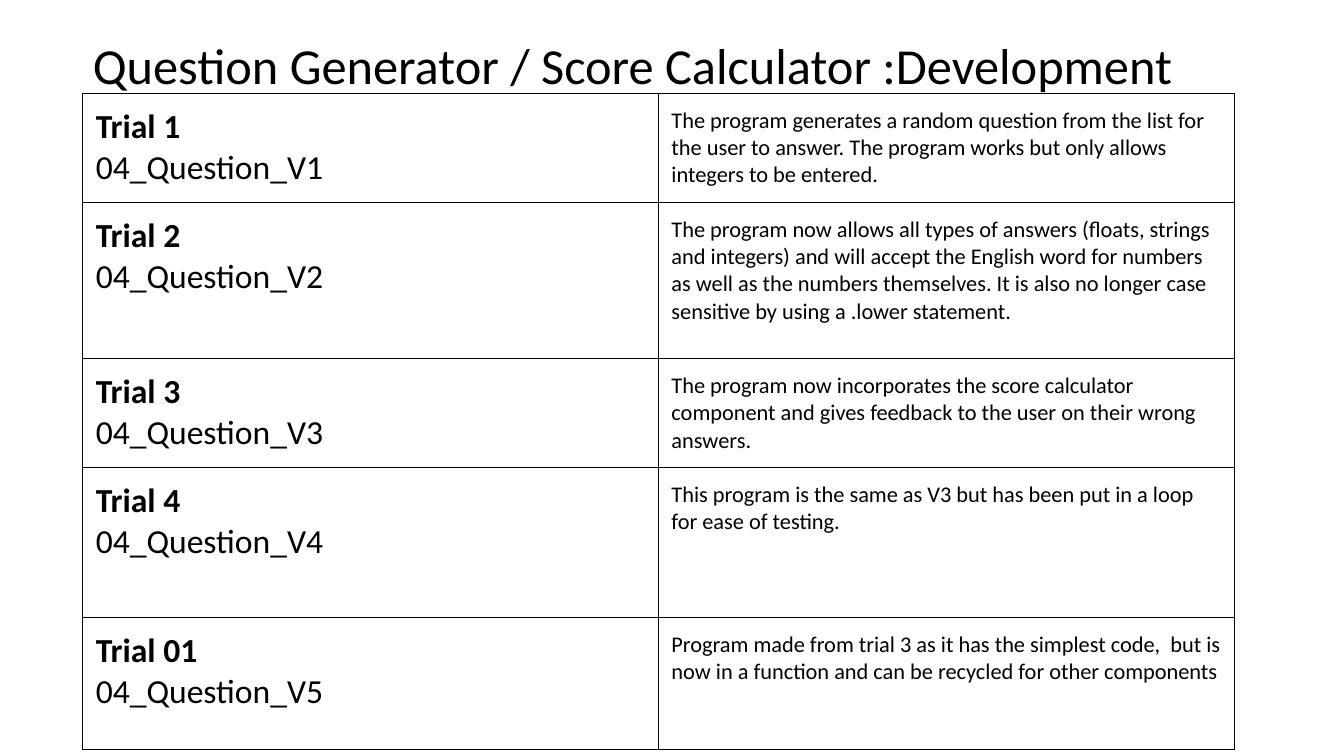
from dataclasses import dataclass

from lxml.etree import SubElement
from pptx import Presentation
from pptx.dml.color import RGBColor
from pptx.enum.text import MSO_ANCHOR, MSO_AUTO_SIZE, PP_ALIGN
from pptx.oxml.ns import qn
from pptx.util import Inches, Pt

COLORS = {"text": "000000", "border": "000000"}
FONT = "Calibri"
LEFT, COL_WIDTH, CELL_MARGIN = 0.82, 5.71, 0.13


@dataclass
class Trial:
    name: str
    file: str
    notes: str
    height: float


TRIALS = [
    Trial("Trial 1", "04_Question_V1",
          "The program generates a random question from the list for the user to answer. "
          "The program works but only allows integers to be entered.", 1.08),
    Trial("Trial 2", "04_Question_V2",
          "The program now allows all types of answers (floats, strings and integers) and "
          "will accept the English word for numbers as well as the numbers themselves. "
          "It is also no longer case sensitive by using a .lower statement.", 1.55),
    Trial("Trial 3", "04_Question_V3",
          "The program now incorporates the score calculator component and gives feedback "
          "to the user on their wrong answers.", 1.08),
    Trial("Trial 4", "04_Question_V4",
          "This program is the same as V3 but has been put in a loop for ease of testing.",
          1.49),
    Trial("Trial 01", "04_Question_V5",
          "Program made from trial 3 as it has the simplest code,  but is now in a function "
          "and can be recycled for other components", 1.31),
]


def format_paragraph(p, size: float, bold: bool = False) -> None:
    p.alignment = PP_ALIGN.LEFT
    for r in p.runs:
        r.font.name = FONT
        r.font.size = Pt(size)
        r.font.bold = bold
        r.font.color.rgb = RGBColor.from_string(COLORS["text"])


def add_borders(cell) -> None:
    """Put a thin solid line on all four sides; lines must follow each other before the fill."""
    tc_pr = cell._tc.get_or_add_tcPr()
    for i, side in enumerate(("a:lnL", "a:lnR", "a:lnT", "a:lnB")):
        ln = SubElement(tc_pr, qn(side), w=str(Pt(0.75)))
        fill = SubElement(ln, qn("a:solidFill"))
        SubElement(fill, qn("a:srgbClr"), val=COLORS["border"])
        tc_pr.insert(i, ln)


def fill_cell(cell, text: str, size: float, bold_first: bool = False) -> None:
    cell.margin_left = cell.margin_right = Inches(CELL_MARGIN)
    cell.margin_top = cell.margin_bottom = Inches(CELL_MARGIN)
    cell.vertical_anchor = MSO_ANCHOR.TOP
    cell.fill.background()
    add_borders(cell)
    cell.text_frame.text = text
    for i, p in enumerate(cell.text_frame.paragraphs):
        format_paragraph(p, size, bold_first and i == 0)


def add_title(slide, text: str) -> None:
    title = slide.shapes.title
    title.left, title.top = Inches(LEFT), Inches(0.24)
    title.width, title.height = Inches(11.5), Inches(0.88)
    tf = title.text_frame
    tf.text = text
    tf.word_wrap = True
    tf.auto_size = MSO_AUTO_SIZE.NONE
    tf.vertical_anchor = MSO_ANCHOR.MIDDLE
    p = tf.paragraphs[0]
    p.line_spacing = 0.9
    format_paragraph(p, 36)


def add_trial_table(slide, trials: list[Trial]) -> None:
    height = sum(trial.height for trial in trials)
    table = slide.shapes.add_table(len(trials), 2, Inches(LEFT), Inches(0.93),
                                   Inches(2 * COL_WIDTH), Inches(height)).table
    table.first_row = table.horz_banding = False
    for col in table.columns:
        col.width = Inches(COL_WIDTH)
    for i, trial in enumerate(trials):
        table.rows[i].height = Inches(trial.height)
        fill_cell(table.cell(i, 0), f"{trial.name}\n{trial.file}", 24, bold_first=True)
        fill_cell(table.cell(i, 1), trial.notes, 16)


def main() -> None:
    prs = Presentation()
    prs.slide_width, prs.slide_height = Inches(13.33), Inches(7.5)
    slide = prs.slides.add_slide(prs.slide_layouts[5])
    add_title(slide, "Question Generator / Score Calculator :Development")
    add_trial_table(slide, TRIALS)
    prs.save("out.pptx")


if __name__ == "__main__":
    main()
